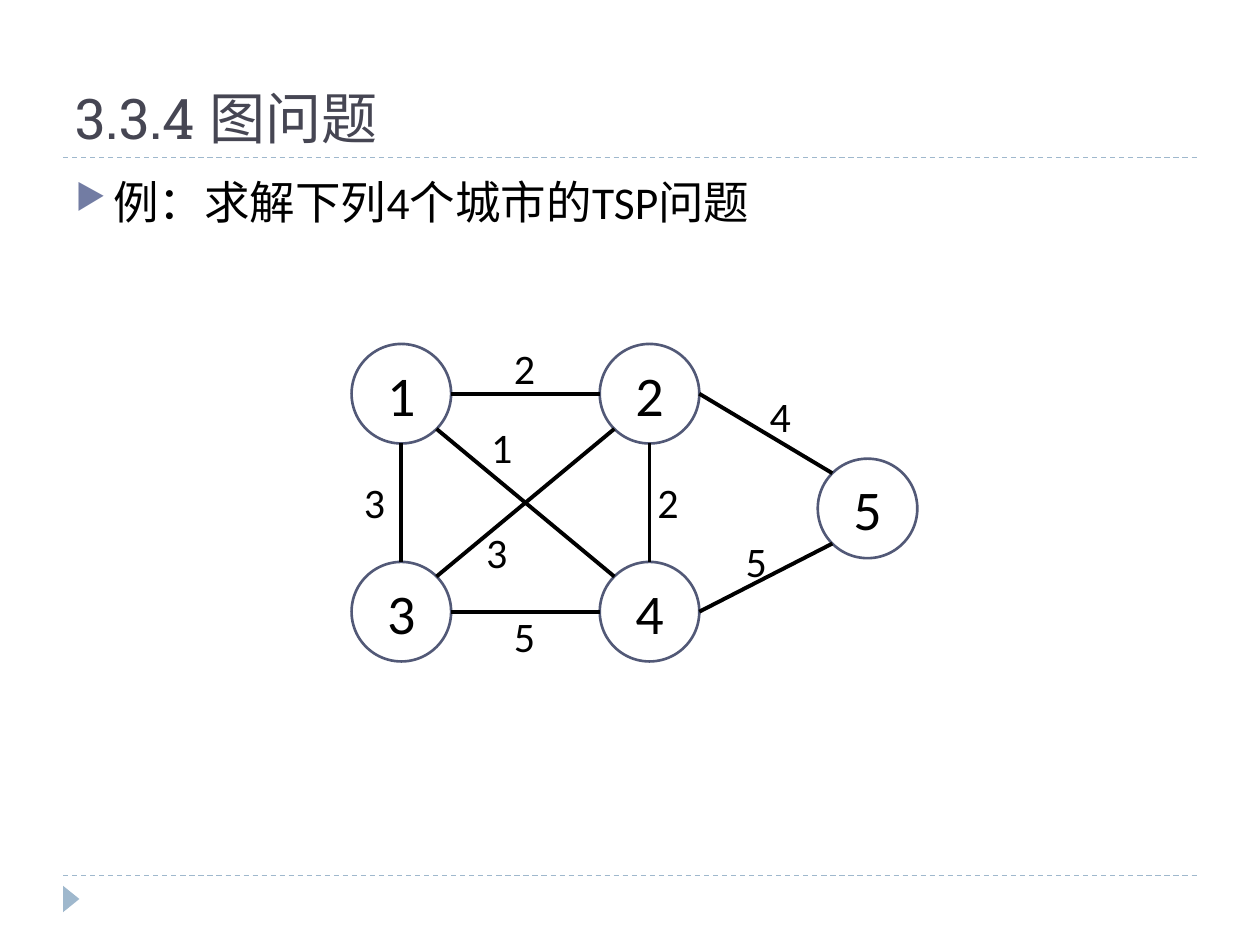
import math

import pptx
import pptx.util
import pptx.dml.color
import pptx.enum.dml
import pptx.enum.shapes
import pptx.enum.text
import pptx.oxml
import pptx.oxml.ns
import lxml.etree

Inches = pptx.util.Inches
Pt = pptx.util.Pt
ALIGN = pptx.enum.text.PP_ALIGN
ANCHOR = pptx.enum.text.MSO_ANCHOR
SHAPE = pptx.enum.shapes.MSO_SHAPE

COLORS = {
    "title": "464653",
    "text": "000000",
    "bullet": "727CA3",
    "rule": "9FB8CD",
    "node": "525977",
    "edge": "000000",
}
DIAMETER = 0.79
NODES = {"1": (0, 0), "2": (1.97, 0), "3": (0, 1.73), "4": (1.97, 1.73), "5": (3.7, 0.91)}
# Each edge: start node, its angle, end node, its angle, weight, weight position
EDGES = [
    ("1", 0, "2", 180, "2", (1.19, -0.06)),
    ("1", 90, "3", 270, "3", (0, 1)),
    ("3", 0, "4", 180, "5", (1.19, 2.07)),
    ("1", 45, "4", 225, "1", (1.01, 0.57)),
    ("2", 135, "3", 315, "3", (0.97, 1.4)),
    ("2", 0, "5", 225, "4", (3.22, 0.32)),
    ("4", 0, "5", 135, "5", (3.03, 1.47)),
    ("2", 90, "4", 270, "2", (2.33, 1)),
]


def rgb(name):
    return pptx.dml.color.RGBColor.from_string(COLORS[name])


def add_run(paragraph, text, size, color, font="Calibri"):
    run = paragraph.add_run()
    run.text = text
    run.font.size = Pt(size)
    run.font.name = font
    run.font.color.rgb = rgb(color)


def add_line(slide, start, end, color, width):
    line = slide.shapes.add_connector(
        pptx.enum.shapes.MSO_CONNECTOR.STRAIGHT, *(Inches(v) for v in (*start, *end)))
    line.line.color.rgb = rgb(color)
    line.line.width = Pt(width)
    lxml.etree.SubElement(line._element.spPr, pptx.oxml.ns.qn("a:effectLst"))
    return line


def add_rule(slide, left, top, width):
    rule = add_line(slide, (left, top), (left + width, top), "rule", 0.75)
    rule.line.dash_style = pptx.enum.dml.MSO_LINE.DASH


def add_title(slide, left, top, width, height):
    title = slide.shapes.title
    title.left, title.top = Inches(left), Inches(top)
    title.width, title.height = Inches(width), Inches(height)
    frame = title.text_frame
    frame.vertical_anchor = ANCHOR.BOTTOM
    frame.paragraphs[0].alignment = ALIGN.LEFT
    add_run(frame.paragraphs[0], "3.3.4 图问题", 32, "title", "Roboto Slab")
    add_rule(slide, left, top + height, width)


def add_footer(slide, left, top, width):
    add_rule(slide, left, top, width)
    marker = slide.shapes.add_shape(
        SHAPE.ISOSCELES_TRIANGLE, Inches(left - 0.04), Inches(top + 0.12),
        Inches(0.21), Inches(0.13))
    marker.rotation = 90
    marker.shadow.inherit = False
    marker.fill.solid()
    marker.fill.fore_color.rgb = rgb("rule")
    marker.line.fill.background()


def add_example(slide, left, top, width, height):
    example = slide.shapes.add_textbox(*(Inches(v) for v in (left, top, width, height)))
    example.text_frame.word_wrap = True
    paragraph = example.text_frame.paragraphs[0]
    properties = paragraph._p.get_or_add_pPr()
    properties.set("marL", str(Inches(0.3)))
    properties.set("indent", str(-Inches(0.3)))
    namespace = pptx.oxml.ns.nsdecls("a")
    for xml in (
        f'<a:buClr {namespace}><a:srgbClr val="{COLORS["bullet"]}"/></a:buClr>',
        f'<a:buSzPct {namespace} val="76000"/>',
        f'<a:buChar {namespace} char="▶"/>',
    ):
        properties.append(pptx.oxml.parse_xml(xml))
    add_run(paragraph, "例：求解下列4个城市的TSP问题", 26, "text")


def add_node(slide, left, top, label):
    node = slide.shapes.add_shape(
        SHAPE.OVAL, Inches(left), Inches(top), Inches(DIAMETER), Inches(DIAMETER))
    node.shadow.inherit = False
    node.fill.background()
    node.line.color.rgb = rgb("node")
    node.line.width = Pt(1.5)
    node.text_frame.vertical_anchor = ANCHOR.MIDDLE
    paragraph = node.text_frame.paragraphs[0]
    paragraph.alignment = ALIGN.CENTER
    add_run(paragraph, label, 32, "text")


def add_weight(slide, left, top, value):
    weight = slide.shapes.add_textbox(Inches(left), Inches(top), Inches(0.37), Inches(0.5))
    weight.text_frame.word_wrap = False
    weight.text_frame.auto_size = pptx.enum.text.MSO_AUTO_SIZE.SHAPE_TO_FIT_TEXT
    add_run(weight.text_frame.paragraphs[0], value, 24, "text")


def add_graph(slide, left, top):
    def rim(label, angle):
        x, y = NODES[label]
        radius = DIAMETER / 2
        turn = math.radians(angle)
        return (left + x + radius * (1 + math.cos(turn)),
                top + y + radius * (1 + math.sin(turn)))

    for label, (x, y) in NODES.items():
        add_node(slide, left + x, top + y, label)
    for start, start_angle, end, end_angle, _, _ in EDGES:
        add_line(slide, rim(start, start_angle), rim(end, end_angle), "edge", 2.25)
    for *_, value, (x, y) in EDGES:
        add_weight(slide, left + x, top + y, value)


def main():
    presentation = pptx.Presentation()
    presentation.slide_width = Inches(10)
    presentation.slide_height = Inches(7.5)
    slide = presentation.slides.add_slide(presentation.slide_layouts[5])
    add_footer(slide, 0.5, 6.95, 9)
    add_title(slide, 0.5, 0.17, 9, 1.08)
    add_example(slide, 0.5, 1.33, 9, 5.4)
    add_graph(slide, 2.79, 2.73)
    presentation.save("out.pptx")


if __name__ == "__main__":
    main()
